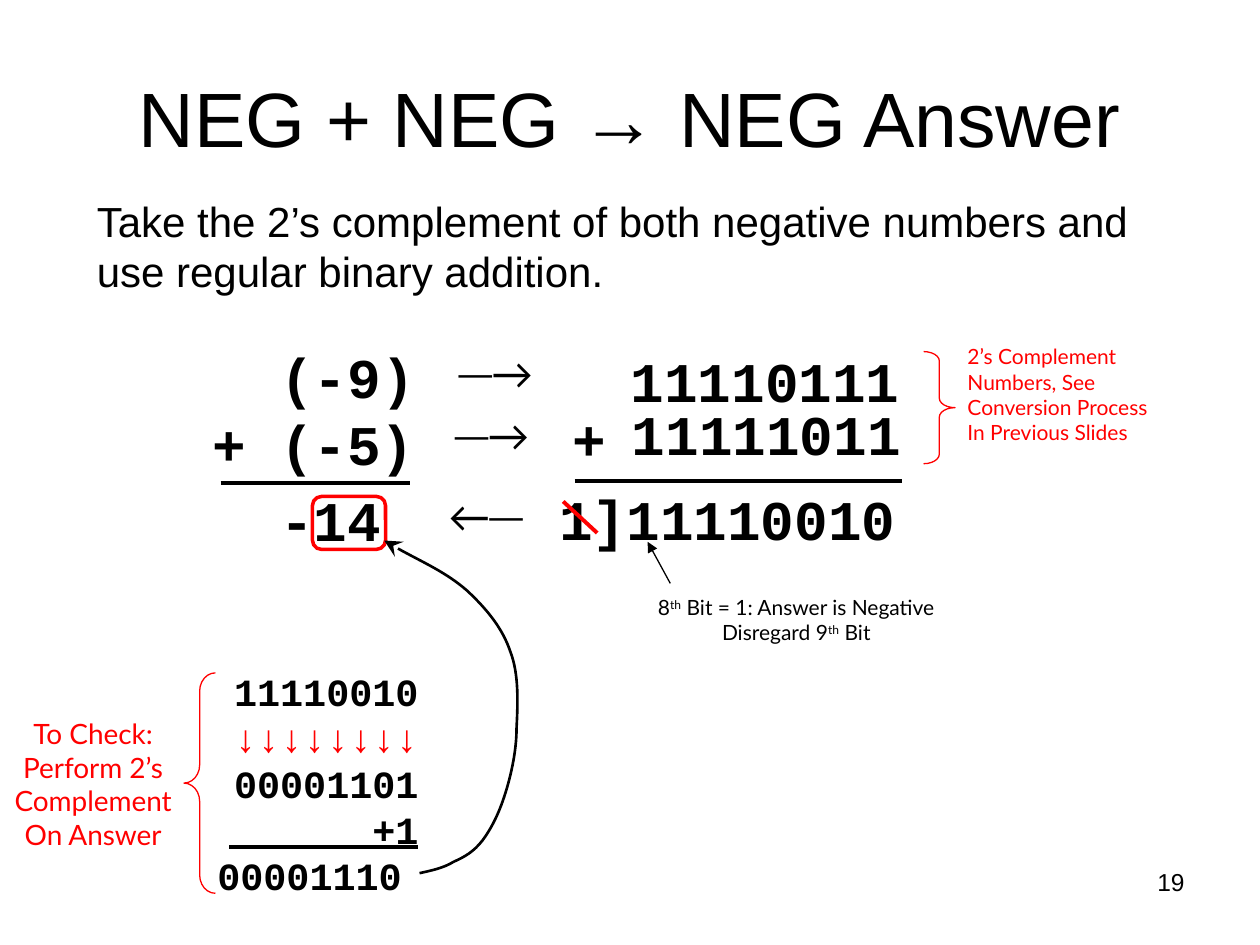
"""Build the slide on adding two negative binary numbers."""
from lxml.etree import SubElement
from pptx import Presentation
from pptx.dml.color import RGBColor
from pptx.enum.shapes import MSO_CONNECTOR as CONN, MSO_SHAPE as SHAPE
from pptx.enum.text import MSO_ANCHOR as ANCHOR, PP_ALIGN as AL
from pptx.oxml.ns import qn
from pptx.util import Inches, Pt

BLACK, RED = "000000", "FF0000"
SUP = {"baseline": "30000"}

TITLE = dict(size=44, name="Arial", align=AL.CENTER, anchor=ANCHOR.MIDDLE)
BODY = dict(size=24, name="Arial")
NUMBER = dict(size=14, name="Arial", align=AL.RIGHT)
SUM = dict(size=32, name="Courier New", bold=True, align=AL.RIGHT)
CHECK = dict(SUM, size=22)
ARROW = dict(size=24, name="Lato")
NOTE = dict(size=12, name="Lato")

TEXTS = [
    ((0.5, 0.3, 9, 1.25), TITLE, ["NEG + NEG → NEG Answer"]),
    ((7.17, 6.83, 2.33, 0.52), NUMBER, ["19"]),
    ((0.67, 1.5, 8.67, 0.9), BODY,
     ["Take the 2’s complement of both negative numbers and use regular binary addition."]),
    ((1.3, 2.67, 2.09, 1.1), SUM, ["(-9)", "+ (-5)"]),
    ((1.3, 3.67, 2.09, 0.85), dict(SUM, line_spacing=1.25), ["-14 "]),
    ((4.74, 2.7, 2.5, 0.64), SUM, ["11110111"]),
    ((4.58, 3.12, 2.67, 0.64), SUM, ["11111011"]),
    ((4.33, 3.16, 0.58, 0.64), SUM, ["+"]),
    ((4.34, 3.8, 2.9, 0.64), dict(SUM, align=AL.LEFT), ["1]11110010"]),
    ((3.55, 2.71, 0.86, 0.51), ARROW, ["─→"]),
    ((3.52, 3.2, 0.86, 0.51), ARROW, ["─→"]),
    ((3.46, 3.84, 0.86, 0.5), ARROW, ["←─"]),
    ((7.58, 2.68, 1.75, 1.1), dict(NOTE, color=RED),
     ["2’s Complement", "Numbers, See", "Conversion Process", "In Previous Slides"]),
    ((5.03, 4.67, 2.58, 0.51), dict(NOTE, align=AL.CENTER),
     [[("8", {}), ("th", SUP), (" Bit = 1: Answer is Negative", {})],
      [("Disregard 9", {}), ("th", SUP), (" Bit", {})]]),
    ((1.5, 5.25, 1.92, 1.95), CHECK,
     ["11110010", [("↓↓↓↓↓↓↓↓", {"color": RED})], "00001101", "+1",
      [("00001110", {}), (" ", {"size": 16})]]),
    ((0.02, 5.64, 1.44, 1.17),
     dict(NOTE, size=16, color=RED, align=AL.CENTER, side_margin=0),
     ["To Check:", "Perform 2’s", "Complement", "On Answer"]),
]

LINES = [
    ((1.75, 3.83, 3.25, 3.83), BLACK, 2.25, None),
    ((4.56, 3.82, 7.16, 3.82), BLACK, 2.25, None),
    ((1.82, 6.72, 3.32, 6.72), BLACK, 2.25, None),
    ((5.32, 4.63, 5.14, 4.3), BLACK, 0.75, {"type": "triangle"}),
    ((4.47, 3.98, 4.74, 4.23), RED, 2.25, None),
]

OUTLINES = [
    (SHAPE.RIGHT_BRACE, (7.33, 2.79, 0.25, 0.89), 0.75, [0.3, 0.5], False),
    (SHAPE.RIGHT_BRACE, (1.46, 5.34, 0.25, 1.75), 0.75, [0.58, 0.5], True),
    (SHAPE.ROUNDED_RECTANGLE, (2.48, 3.94, 0.58, 0.42), 2, [0.17], False),
]

CURVE_HEAD = {"type": "stealth", "w": "lg", "len": "lg"}
CURVE = [
    (3.33, 6.93),
    (3.42, 6.91), (3.52, 6.89), (3.6, 6.84),
    (3.69, 6.8), (3.76, 6.76), (3.83, 6.67),
    (3.89, 6.59), (3.95, 6.48), (4, 6.33),
    (4.05, 6.18), (4.1, 5.97), (4.1, 5.78),
    (4.11, 5.58), (4.12, 5.35), (4.05, 5.17),
    (3.99, 4.99), (3.87, 4.84), (3.71, 4.69),
    (3.54, 4.54), (3.26, 4.42), (3.05, 4.29),
]


def rgb(value):
    return RGBColor.from_string(value)


def inches(values):
    return [Inches(v) for v in values]


def add_run(p, text, fmt):
    r = p.add_run()
    r.text = text
    for key in ("name", "bold"):
        setattr(r.font, key, fmt.get(key))
    r.font.size = Pt(fmt["size"])
    r.font.color.rgb = rgb(fmt.get("color", BLACK))
    if "baseline" in fmt:
        r.font._element.set("baseline", fmt["baseline"])


def add_text(s, box, fmt, paragraphs):
    tf = s.shapes.add_textbox(*inches(box)).text_frame
    tf.word_wrap = True
    tf.vertical_anchor = fmt.get("anchor", ANCHOR.TOP)
    tf.margin_left = tf.margin_right = Inches(fmt.get("side_margin", 0.1))
    for i, runs in enumerate(paragraphs):
        p = tf.add_paragraph() if i else tf.paragraphs[0]
        p.alignment = fmt.get("align", AL.LEFT)
        p.line_spacing = fmt.get("line_spacing")
        for text, extra in [(runs, {})] if isinstance(runs, str) else runs:
            add_run(p, text, {**fmt, **extra})


def set_line(sp, color, width, head=None):
    sp.line.color.rgb = rgb(color)
    sp.line.width = Pt(width)
    if head:
        SubElement(sp.line._get_or_add_ln(), qn("a:tailEnd"), head)


def add_line(s, ends, color, width, head):
    sp = s.shapes.add_connector(CONN.STRAIGHT, *inches(ends))
    set_line(sp, color, width, head)
    SubElement(sp._element.spPr, qn("a:effectLst"))


def add_outline(s, kind, box, width, adjustments, flip):
    sp = s.shapes.add_shape(kind, *inches(box))
    for i, value in enumerate(adjustments):
        sp.adjustments[i] = value
    sp.fill.background()
    set_line(sp, RED, width)
    sp.shadow.inherit = False
    if flip:
        sp._element.spPr.xfrm.set("flipH", "1")


def add_curve(s, points):
    start, *rest = [inches(pt) for pt in points]
    builder = s.shapes.build_freeform(*start)
    builder.add_line_segments(rest, close=False)
    sp = builder.convert_to_shape()
    sp.fill.background()
    set_line(sp, BLACK, 1.5, CURVE_HEAD)
    sp.shadow.inherit = False
    segments = list(sp._element.iter(qn("a:lnTo")))
    outline = segments[0].getparent()
    for i in range(0, len(segments), 3):
        bezier = SubElement(outline, qn("a:cubicBezTo"))
        for segment in segments[i:i + 3]:
            bezier.append(segment[0])
            outline.remove(segment)


def main():
    prs = Presentation()
    prs.slide_width, prs.slide_height = inches((10, 7.5))
    s = prs.slides.add_slide(prs.slide_layouts[6])
    for item in TEXTS:
        add_text(s, *item)
    for item in LINES:
        add_line(s, *item)
    for item in OUTLINES:
        add_outline(s, *item)
    add_curve(s, CURVE)
    prs.save("out.pptx")


if __name__ == "__main__":
    main()
